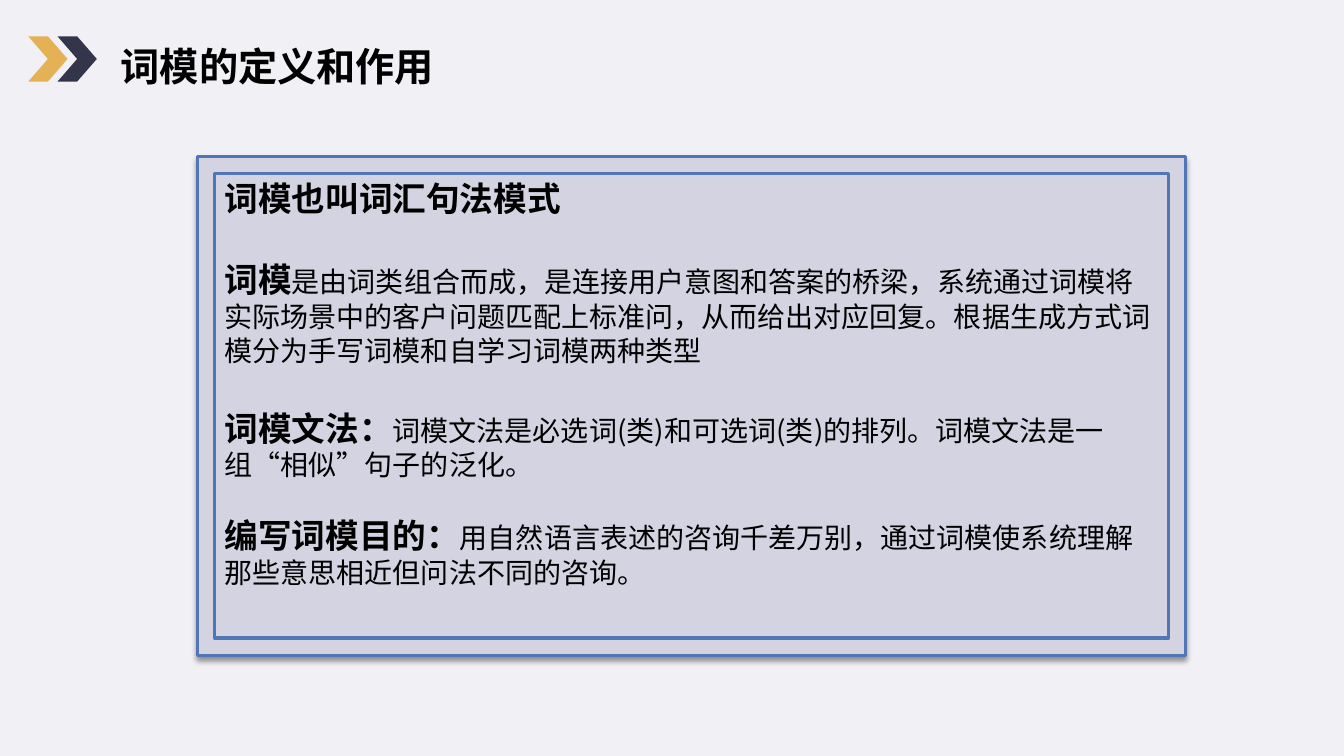
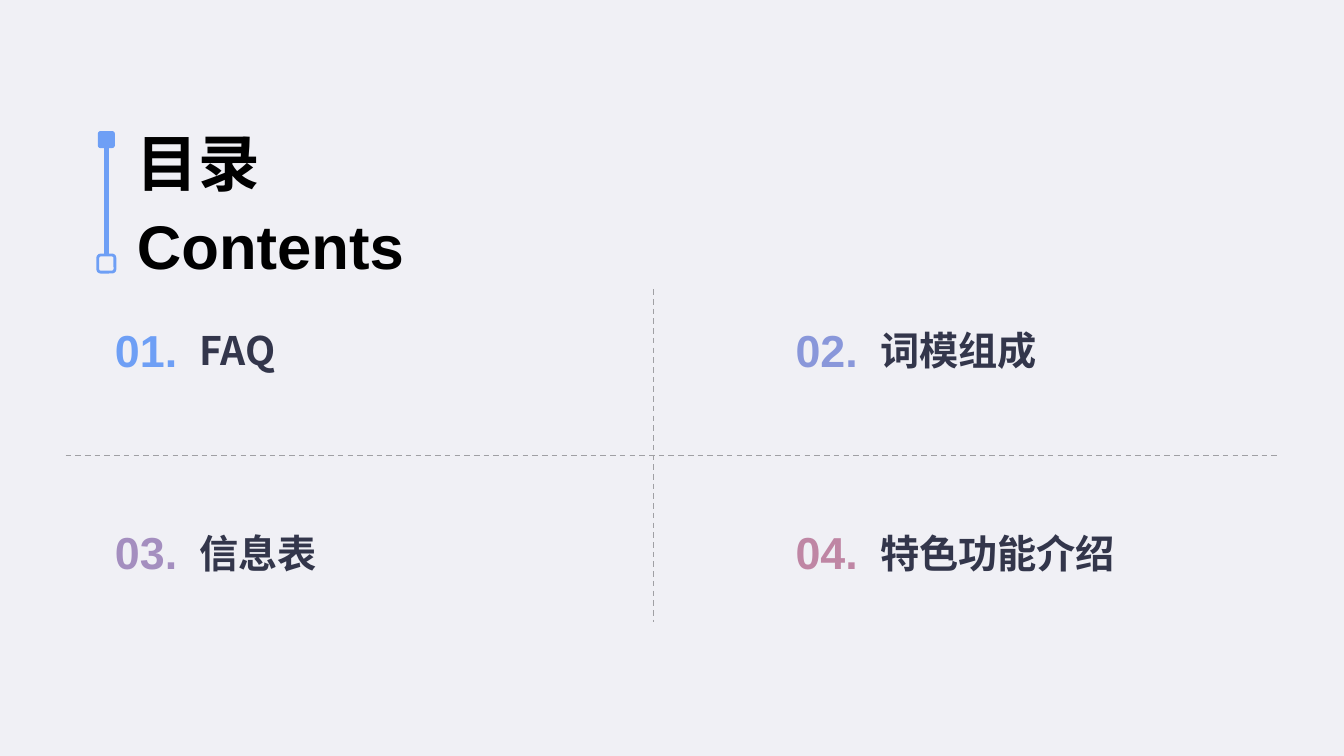
from dataclasses import dataclass
from itertools import product

from lxml import etree
from pptx import Presentation
from pptx.dml.color import RGBColor
from pptx.enum.dml import MSO_LINE_DASH_STYLE as DASH
from pptx.enum.shapes import MSO_CONNECTOR, MSO_SHAPE as SHAPE
from pptx.enum.text import MSO_ANCHOR as ANCHOR, PP_ALIGN as ALIGN
from pptx.oxml import parse_xml
from pptx.oxml.ns import nsdecls, qn
from pptx.util import Inches, Pt


@dataclass(frozen=True)
class Theme:
    """Colours, fonts and type sizes of the deck."""
    back: str = "F0F0F5"
    ink: str = "000000"
    navy: str = "33364B"
    gold: str = "E4B156"
    panel: str = "D3D3E2"
    border: str = "5176B5"
    accent: str = "6E9FF5"
    grid: str = "A0A0A4"
    numbers: tuple = ("6E9FF5", "8997DA", "A48EBF", "BF86A4")
    cjk: str = "Noto Sans CJK SC"
    latin: str = "Arial"
    hero: int = 44
    number: int = 32
    title: int = 28
    lead: int = 24
    body: int = 20


T = Theme()

DEFINITIONS = [
    ("词模也叫词汇句法模式", "", 0),
    ("词模", "是由词类组合而成，是连接用户意图和答案的桥梁，系统通过词模将实际场景中的客户问题匹配上标准问，"
     "从而给出对应回复。根据生成方式词模分为手写词模和自学习词模两种类型", 29),
    ("词模文法：", "词模文法是必选词(类)和可选词(类)的排列。词模文法是一组“相似”句子的泛化。", 29),
    ("编写词模目的：", "用自然语言表述的咨询千差万别，通过词模使系统理解那些意思相近但问法不同的咨询。", 24),
]
CONTENTS = ["FAQ", "词模组成", "信息表", "特色功能介绍"]


def rgb(color):
    """Turn a hex string into a colour."""
    return RGBColor.from_string(color)


def add_slide(prs):
    """Add a blank slide with the shared background."""
    s = prs.slides.add_slide(prs.slide_layouts[6])
    s.background.fill.solid()
    s.background.fill.fore_color.rgb = rgb(T.back)
    return s


def add_run(p, text, size=T.title, font=T.cjk, color=T.ink, bold=True):
    """Add a formatted run, with its East Asian font."""
    r = p.add_run()
    r.text = text
    r.font.size, r.font.bold, r.font.name = Pt(size), bold, font
    r.font.color.rgb = rgb(color)
    ea = etree.SubElement(r.font._element, qn("a:ea"))
    ea.set("typeface", T.cjk)
    return r


def add_text(s, box, text, align=ALIGN.LEFT, anchor=ANCHOR.TOP,
             spacing=None, bottom=0.05, wrap=True, **fmt):
    """Add a one-paragraph text box."""
    sp = s.shapes.add_textbox(*map(Inches, box))
    tf = sp.text_frame
    tf.word_wrap, tf.vertical_anchor = wrap, anchor
    tf.margin_bottom = Inches(bottom)
    p = tf.paragraphs[0]
    p.alignment, p.line_spacing = align, spacing
    add_run(p, text, **fmt)
    return sp


def add_box(s, kind, box, fill=None, line=None, width=1):
    """Add a preset shape with optional fill and outline."""
    sp = s.shapes.add_shape(kind, *map(Inches, box))
    sp.shadow.inherit = False
    if fill:
        sp.fill.solid()
        sp.fill.fore_color.rgb = rgb(fill)
    else:
        sp.fill.background()
    if line:
        sp.line.color.rgb, sp.line.width = rgb(line), Pt(width)
    else:
        sp.line.fill.background()
    return sp


def add_line(s, start, end, color, width, dash=None):
    """Add a straight connector without shadow."""
    cx = s.shapes.add_connector(MSO_CONNECTOR.STRAIGHT, *map(Inches, start + end))
    cx.line.color.rgb, cx.line.width = rgb(color), Pt(width)
    if dash:
        cx.line.dash_style = dash
    etree.SubElement(cx._element.spPr, qn("a:effectLst"))
    return cx


def drop_shadow(sp, blur, dist, alpha):
    """Give a shape a soft black shadow below it."""
    effects = sp._element.spPr.find(qn("a:effectLst"))
    effects.append(parse_xml(
        f'<a:outerShdw {nsdecls("a")} blurRad="{Pt(blur)}" dist="{Pt(dist)}" '
        f'dir="5400000" algn="t" rotWithShape="0"><a:srgbClr val="000000">'
        f'<a:alpha val="{alpha * 1000}"/></a:srgbClr></a:outerShdw>'))


def title_bar(s, x, y, text):
    """Draw the double chevron and the slide title."""
    for i, color in enumerate((T.gold, T.navy)):
        add_box(s, SHAPE.CHEVRON, (x + 0.29 * i, y, 0.39, 0.45), fill=color)
    add_text(s, (x + 0.82, y + 0.01, 3.38, 0.57), text, wrap=False)


def definition_panel(s, x, y, w, h, entries, inset=0.17):
    """Draw the double frame and its definitions."""
    frame = add_box(s, SHAPE.RECTANGLE, (x, y, w, h), T.panel, T.border, 2.25)
    drop_shadow(frame, blur=4, dist=3, alpha=40)
    inner = (x + inset, y + inset, w - 2 * inset, h - 2 * inset)
    sp = add_box(s, SHAPE.RECTANGLE, inner, line=T.border, width=2.25)
    tf = sp.text_frame
    tf.word_wrap, tf.vertical_anchor = True, ANCHOR.TOP
    for i, (lead, body, gap) in enumerate(entries):
        p = tf.add_paragraph() if i else tf.paragraphs[0]
        p.alignment, p.space_before = ALIGN.LEFT, Pt(gap)
        add_run(p, lead, size=T.lead)
        if body:
            add_run(p, body, size=T.body, bold=False)


def contents_heading(s, x, y):
    """Draw the two-line heading with its marker."""
    for i, text in enumerate(("目录", "Contents")):
        add_text(s, (x + 0.29, y - 0.11 + 0.82 * i, 2.85, 0.84), text,
                 wrap=False, size=T.hero, font=T.latin)
    side, drop = 0.17, 1.23
    top = add_box(s, SHAPE.ROUNDED_RECTANGLE, (x, y, side, side), fill=T.accent)
    end = add_box(s, SHAPE.ROUNDED_RECTANGLE, (x, y + drop, side, side),
                  line=T.accent, width=2)
    mid = x + side / 2
    stem = add_line(s, (mid, y + side), (mid, y + drop), T.accent, 4)
    stem.begin_connect(top, 2)
    stem.end_connect(end, 0)


def contents_item(s, x, y, number, text, color):
    """Draw one numbered entry."""
    add_text(s, (x, y, 0.86, 0.73), f"{number:02}.", align=ALIGN.CENTER,
             size=T.number, font=T.latin, color=color)
    add_text(s, (x + 0.86, y + 0.01, 4.4, 0.53), text, anchor=ANCHOR.MIDDLE,
             spacing=1.1, bottom=0, color=T.navy)


def contents_grid(s, x, y, w, h, items):
    """Draw the dashed cross and the entries in its quarters."""
    cross_x, cross_y = x + 5.83, y + h / 2
    cells = product((y + 0.28, y + 2.29), (x + 0.37, x + 7.12))
    for i, ((top, left), text) in enumerate(zip(cells, items)):
        contents_item(s, left, top, i + 1, text, T.numbers[i])
    add_line(s, (cross_x, y), (cross_x, y + h), T.grid, 1, DASH.DASH)
    add_line(s, (x, cross_y), (x + w, cross_y), T.grid, 1, DASH.DASH)


def main():
    """Build and save the deck."""
    prs = Presentation()
    prs.slide_width, prs.slide_height = Inches(13.33), Inches(7.5)

    s = add_slide(prs)
    title_bar(s, 0.28, 0.36, "词模的定义和作用")
    definition_panel(s, 1.96, 1.55, 9.8, 4.95, DEFINITIONS)

    s = add_slide(prs)
    contents_grid(s, 0.65, 2.87, 12.03, 3.3, CONTENTS)
    contents_heading(s, 0.97, 1.3)

    prs.save("out.pptx")


if __name__ == "__main__":
    main()
